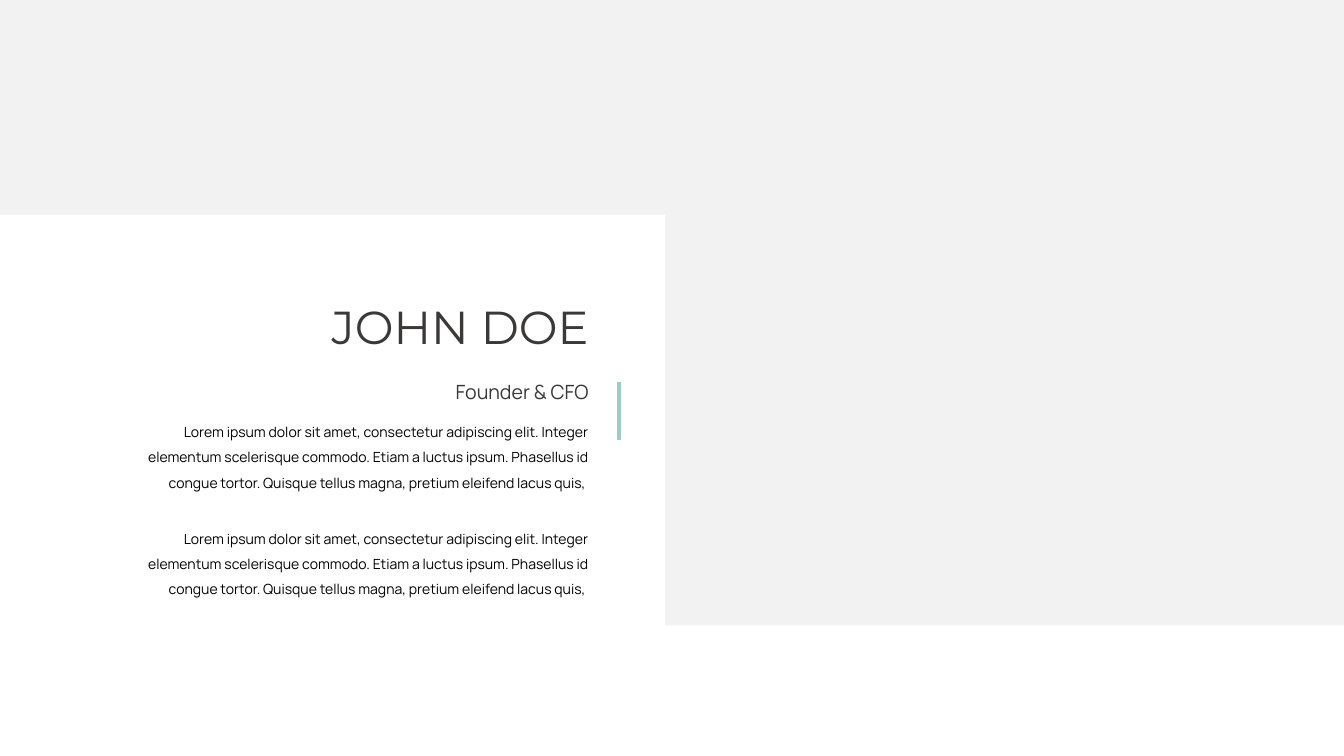
import pptx
import pptx.util
import pptx.dml.color
import pptx.enum.shapes
import pptx.enum.text
import pptx.oxml.ns
import lxml.etree

Inches = pptx.util.Inches
Color = pptx.dml.color.RGBColor
PALE = Color(0xF2, 0xF2, 0xF2)
WHITE = Color(0xFF, 0xFF, 0xFF)
DARK = Color(0x3B, 0x38, 0x38)
BLACK = Color(0, 0, 0)
TEAL = Color(0x9B, 0xCC, 0xC8)

WIDTH, HEIGHT = 26.67, 15
TEXT_RIGHT = 11.78
TEXT_WIDTH = 9.26
BODY_TOP, BODY_STEP = 8.19, 2.11
ACCENT_X, ACCENT_TOP, ACCENT_BOTTOM = 12.29, 7.57, 8.74

BIOGRAPHY = (
    "Lorem ipsum dolor sit amet, consectetur adipiscing elit. Integer "
    "elementum scelerisque commodo. Etiam a luctus ipsum. Phasellus id "
    "congue tortor. Quisque tellus magna, pretium eleifend lacus quis, "
)
PANELS = [(0, 0, WIDTH, 4.26), (13.2, 3.14, WIDTH - 13.2, 9.27)]
HEADINGS = [
    ("JOHN DOE", 5.87, 7.76, 1.21, "Montserrat", 66),
    ("Founder & CFO", 7.49, TEXT_WIDTH, 0.57, "Manrope", 28),
]


def add_panel(page, left, top, width, height):
    panel = page.shapes.add_shape(
        pptx.enum.shapes.MSO_SHAPE.RECTANGLE,
        Inches(left), Inches(top), Inches(width), Inches(height))
    panel.shadow.inherit = False
    panel.fill.solid()
    panel.fill.fore_color.rgb = PALE
    panel.line.fill.background()


def add_text(page, text, top, width, height, font, size, color, spacing=1.0):
    box = page.shapes.add_textbox(
        Inches(TEXT_RIGHT - width), Inches(top), Inches(width), Inches(height))
    frame = box.text_frame
    frame.word_wrap = True
    frame.auto_size = pptx.enum.text.MSO_AUTO_SIZE.SHAPE_TO_FIT_TEXT
    para = frame.paragraphs[0]
    para.text = text
    para.alignment = pptx.enum.text.PP_ALIGN.RIGHT
    para.line_spacing = spacing
    para.font.name = font
    para.font.size = pptx.util.Pt(size)
    para.font.color.rgb = color


def add_accent(page):
    accent = page.shapes.add_connector(
        pptx.enum.shapes.MSO_CONNECTOR.STRAIGHT,
        Inches(ACCENT_X), Inches(ACCENT_TOP),
        Inches(ACCENT_X), Inches(ACCENT_BOTTOM))
    accent.line.color.rgb = TEAL
    accent.line.width = pptx.util.Pt(6)
    lxml.etree.SubElement(
        accent._element.spPr, pptx.oxml.ns.qn("a:effectLst"))


def main():
    deck = pptx.Presentation()
    deck.slide_width, deck.slide_height = Inches(WIDTH), Inches(HEIGHT)
    page = deck.slides.add_slide(deck.slide_layouts[6])
    page.background.fill.solid()
    page.background.fill.fore_color.rgb = WHITE

    for panel in PANELS:
        add_panel(page, *panel)
    for heading in HEADINGS:
        add_text(page, *heading, DARK)
    for row in range(2):
        add_text(page, BIOGRAPHY, BODY_TOP + row * BODY_STEP,
                 TEXT_WIDTH, 1.62, "Manrope", 20, BLACK, 1.5)
    add_accent(page)
    deck.save("out.pptx")


if __name__ == "__main__":
    main()
